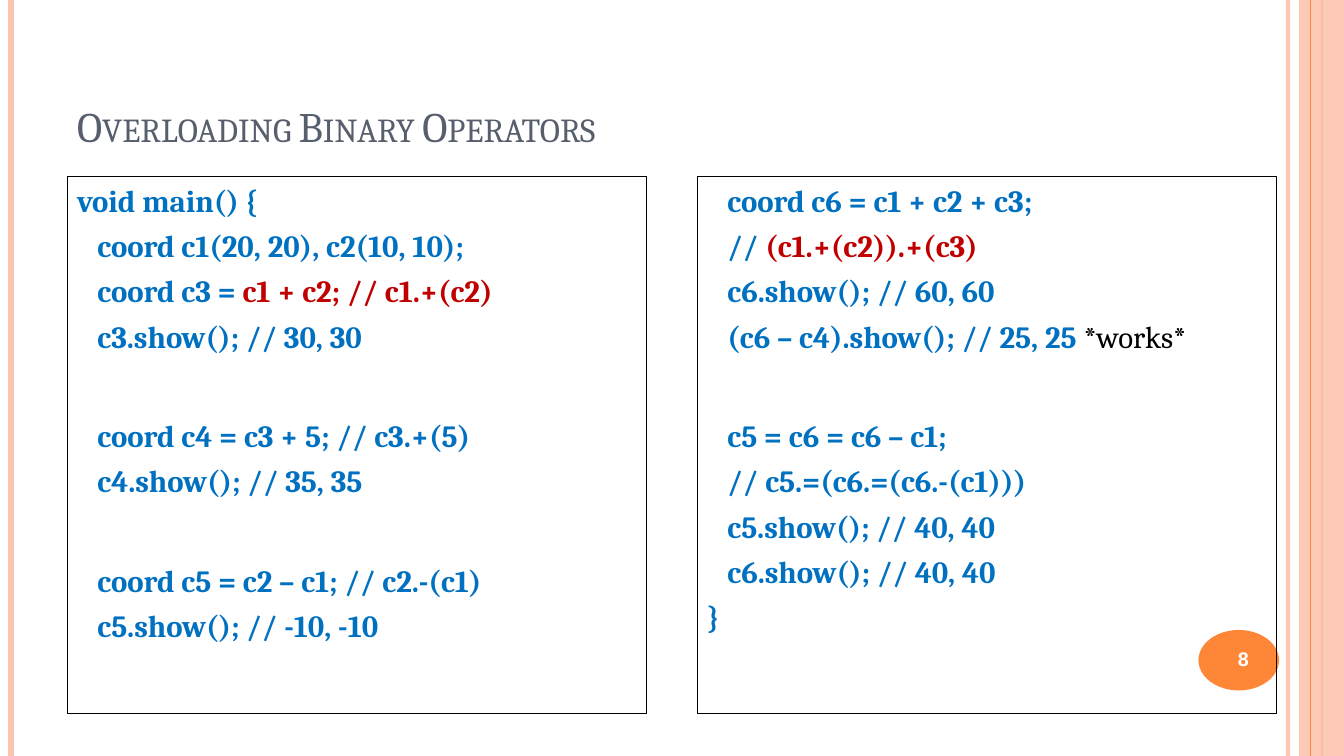
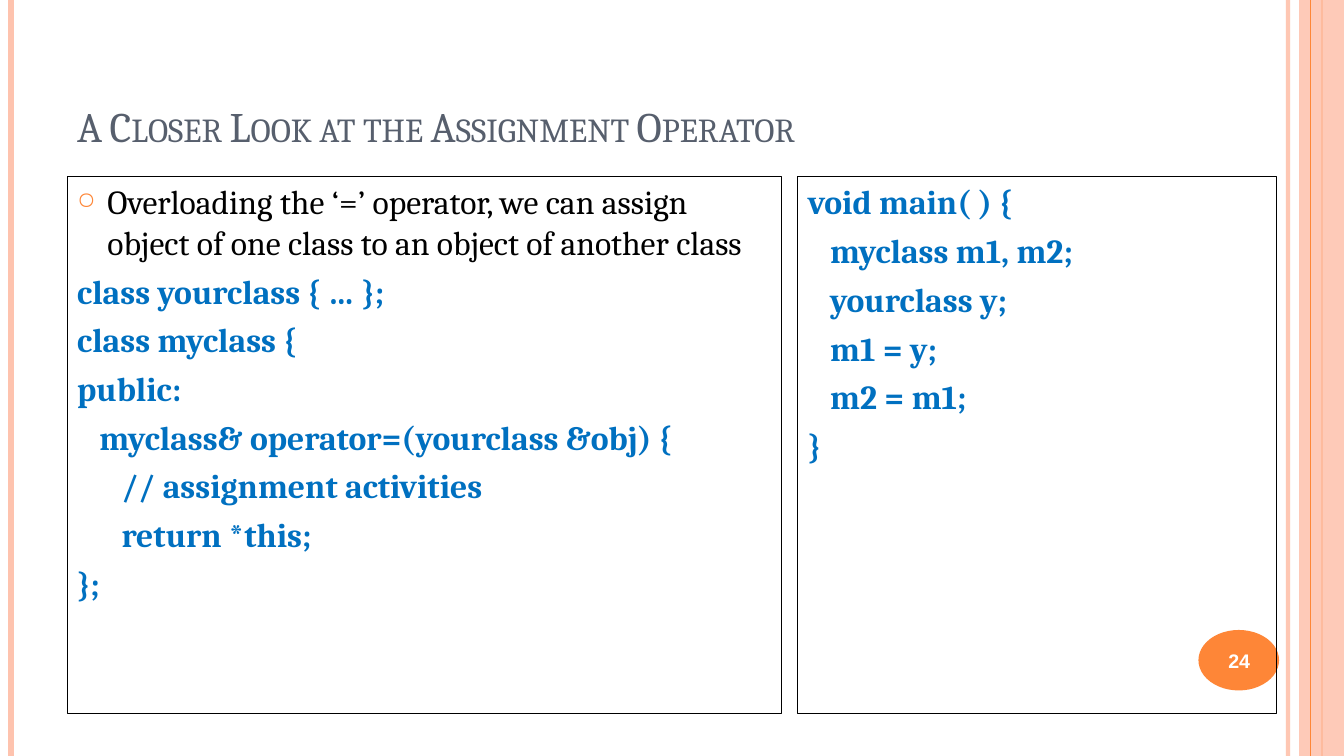
from dataclasses import dataclass
from lxml import etree
from pptx import Presentation, util as u
from pptx.dml.color import RGBColor
from pptx.enum import shapes, text
from pptx.oxml import ns


@dataclass(frozen=True)
class Theme:
    peach: str = "FEC3AE"
    orange: str = "FE8637"
    slate: str = "575F6D"
    code: str = "0070C0"
    accent: str = "C00000"
    ink: str = "000000"
    white: str = "FFFFFF"
    serif: str = "Cambria"
    sans: str = "Arial"
    title: int = 30
    number: int = 14
    spacing: int = 6
    blank_line: float = 38.5
    indent_ratio: float = 0.66


@dataclass
class Line:
    runs: list
    level: int = 0
    after_blank: bool = False
    bullet: str = ""


def code(content, level=1, after_blank=False):
    return Line([(content, "code")], level, after_blank)


class Deck:
    COLS, ROWS = 160, 90

    def __init__(self, prs, theme):
        self.prs, self.theme, self.s = prs, theme, None

    def x(self, cols):
        return round(self.prs.slide_width * cols / self.COLS)

    def y(self, rows):
        return round(self.prs.slide_height * rows / self.ROWS)

    def box(self, col, row, cols, rows):
        return self.x(col), self.y(row), self.x(cols), self.y(rows)

    def color(self, name):
        return RGBColor.from_string(getattr(self.theme, name))

    def fade(self, sp, percent):
        for clr in sp._element.spPr.iter(ns.qn("a:srgbClr")):
            etree.SubElement(clr, ns.qn("a:alpha")).set("val", str(percent * 1000))

    def slide(self, title, number, number_at):
        self.s = self.prs.slides.add_slide(self.prs.slide_layouts[6])
        self.rule(153.33, "peach", 3, 93)
        self.rule(1.33, "peach", 4.5)
        self.rule(157.33, "orange", 1.5)
        self.fade(self.shape("RECTANGLE", (154.67, 0, 5.33, 90), fill="peach"), 87)
        self.rule(156, "orange", 0.75)
        self.shape("OVAL", (142.67, 75, 9.6, 7.2), fill="orange")
        self.title(title)
        self.number(number, number_at)

    def rule(self, col, color, width, opacity=None):
        c = self.s.shapes.add_connector(
            shapes.MSO_CONNECTOR.STRAIGHT, self.x(col), 0, self.x(col), self.y(self.ROWS))
        c.line.color.rgb = self.color(color)
        c.line.width = u.Pt(width)
        etree.SubElement(c._element.spPr, ns.qn("a:effectLst"))
        if opacity:
            self.fade(c, opacity)

    def shape(self, kind, place, fill=None, line=None):
        sp = self.s.shapes.add_shape(getattr(shapes.MSO_SHAPE, kind), *self.box(*place))
        sp.shadow.inherit = False
        if fill:
            sp.fill.solid()
            sp.fill.fore_color.rgb = self.color(fill)
        else:
            sp.fill.background()
        if line:
            sp.line.color.rgb = self.color(line)
            sp.line.width = u.Pt(0.75)
        else:
            sp.line.fill.background()
        return sp

    def run(self, p, content, color, size, font, bold=False):
        r = p.add_run()
        r.text = content
        r.font.name = font
        r.font.size = u.Pt(size)
        r.font.bold = bold
        r.font.color.rgb = self.color(color)
        return r

    def text_box(self, place, anchor):
        tf = self.s.shapes.add_textbox(*self.box(*place)).text_frame
        tf.word_wrap = True
        tf.vertical_anchor = anchor
        return tf.paragraphs[0]

    def title(self, content):
        p = self.text_box((8, 3.6, 134.67, 15), text.MSO_ANCHOR.BOTTOM)
        r = self.run(p, content, "slate", self.theme.title, self.theme.serif)
        r._r.get_or_add_rPr().set("cap", "small")

    def number(self, content, at):
        p = self.text_box((*at, 10.67, 6.8), text.MSO_ANCHOR.MIDDLE)
        p.alignment = text.PP_ALIGN.CENTER
        self.run(p, content, "white", self.theme.number, self.theme.sans, True)

    def bullet(self, p, char):
        pPr = p._p.get_or_add_pPr()
        pPr.set("marL", str(u.Inches(0.3)))
        pPr.set("indent", str(-u.Inches(0.3)))
        clr = etree.SubElement(pPr, ns.qn("a:buClr"))
        etree.SubElement(clr, ns.qn("a:srgbClr")).set("val", self.theme.orange)
        etree.SubElement(pPr, ns.qn("a:buSzPct")).set("val", "70000")
        etree.SubElement(pPr, ns.qn("a:buChar")).set("char", char)

    def panel(self, col, cols, size, lines):
        tf = self.shape("RECTANGLE", (col, 21, cols, 64), line="ink").text_frame
        tf.word_wrap = True
        tf.vertical_anchor = text.MSO_ANCHOR.TOP
        for i, line in enumerate(lines):
            p = tf.add_paragraph() if i else tf.paragraphs[0]
            p.alignment = text.PP_ALIGN.LEFT
            gap = self.theme.blank_line if line.after_blank else 0
            p.space_before = u.Pt(self.theme.spacing + gap)
            if line.bullet:
                self.bullet(p, line.bullet)
            elif line.level:
                indent = u.Pt(size * self.theme.indent_ratio * line.level)
                p._p.get_or_add_pPr().set("marL", str(indent))
            for content, color in line.runs:
                self.run(p, content, color, size, self.theme.serif, color != "ink")


prs = Presentation()
prs.slide_width, prs.slide_height = u.Inches(13.33), u.Inches(7.5)
deck = Deck(prs, Theme())

deck.slide("Overloading Binary Operators", "8", (142.67, 75))
deck.panel(8, 69, 22, [
    code("void main() {", 0),
    code("coord c1(20, 20), c2(10, 10);"),
    Line([("coord c3 = ", "code"), ("c1 + c2; // c1.+(c2)", "accent")], 1),
    code("c3.show(); // 30, 30"),
    code("coord c4 = c3 + 5; // c3.+(5)", after_blank=True),
    code("c4.show(); // 35, 35"),
    code("coord c5 = c2 – c1; // c2.-(c1)", after_blank=True),
    code("c5.show(); // -10, -10"),
])
deck.panel(83, 69, 22, [
    code("coord c6 = c1 + c2 + c3;"),
    Line([("// ", "code"), ("(c1.+(c2)).+(c3)", "accent")], 1),
    code("c6.show(); // 60, 60"),
    Line([("(c6 – c4).show(); // 25, 25 ", "code"), ("*works*", "ink")], 1),
    code("c5 = c6 = c6 – c1;", after_blank=True),
    code("// c5.=(c6.=(c6.-(c1)))"),
    code("c5.show(); // 40, 40"),
    code("c6.show(); // 40, 40"),
    code("}", 0),
])

deck.slide("A Closer Look at the Assignment Operator", "24", (142.2, 75.2))
deck.panel(8, 85, 24, [
    Line([("Overloading the ‘=’ operator, we can assign object of one class "
           "to an object of another class", "ink")], bullet="○"),
    code("class yourclass { … };", 0),
    code("class myclass {", 0),
    code("public:", 0),
    code("myclass& operator=(yourclass &obj) {"),
    code("// assignment activities", 2),
    code("return *this;", 2),
    code("};", 0),
])
deck.panel(95, 57, 24, [
    code("void main( ) {", 0),
    code("myclass m1, m2;"),
    code("yourclass y;"),
    code("m1 = y;"),
    code("m2 = m1;"),
    code("}", 0),
])

prs.save("out.pptx")
